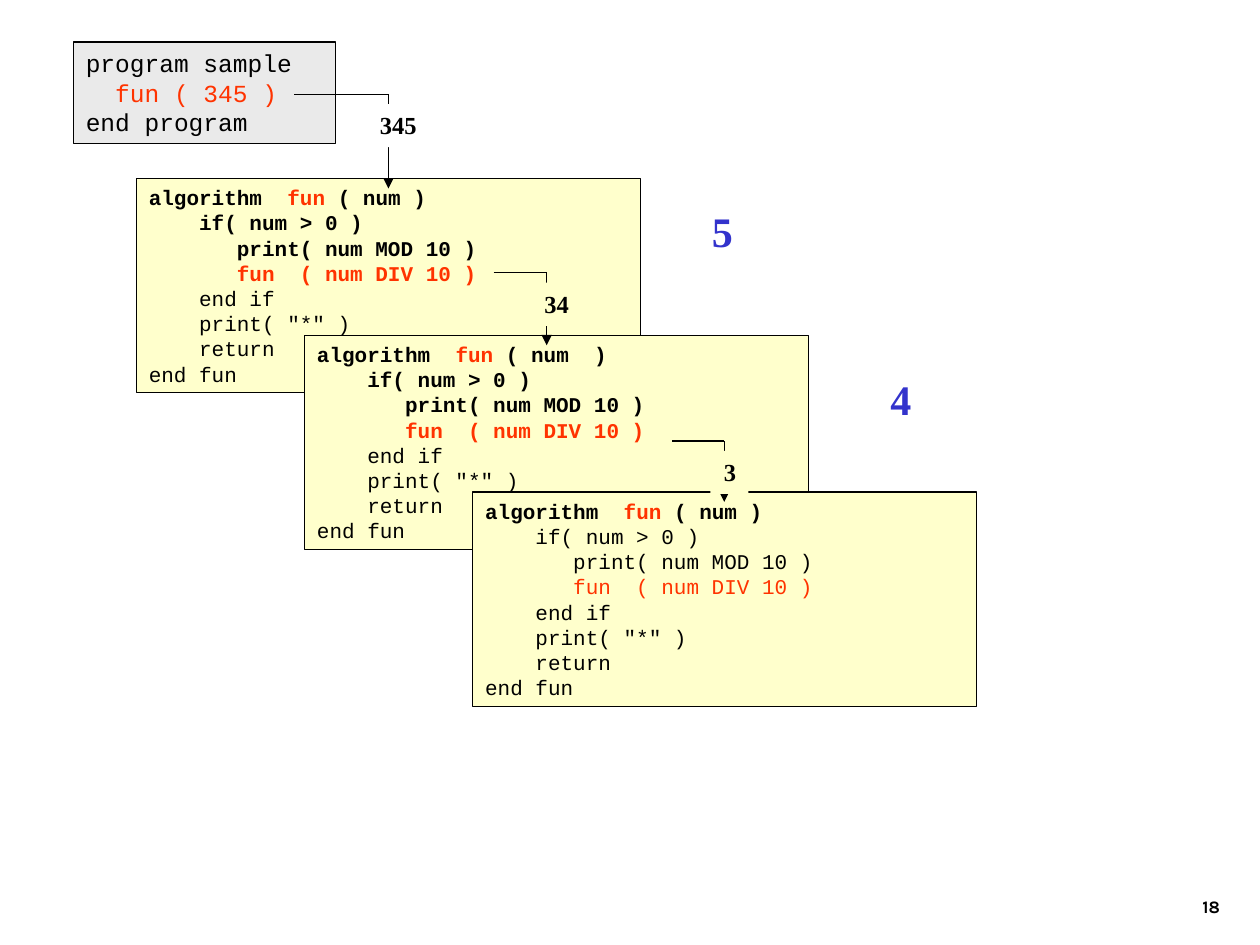
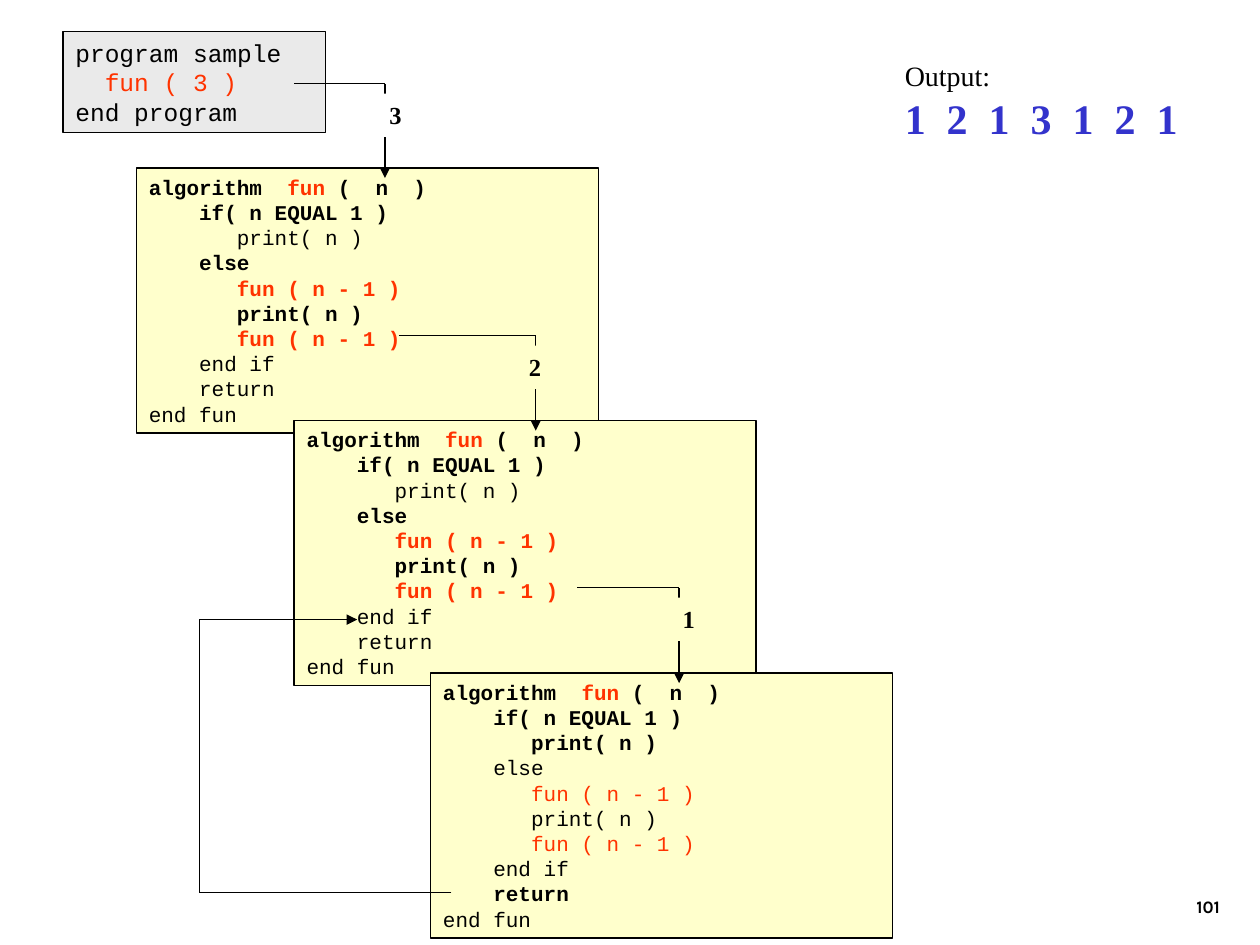
"""Build two slides that trace recursive calls through stacked code frames."""
import dataclasses
import itertools

import lxml.etree
import pptx
import pptx.dml.color
import pptx.enum.shapes
import pptx.enum.text
import pptx.oxml.ns
import pptx.util

Cm = pptx.util.Cm
Pt = pptx.util.Pt
Align = pptx.enum.text.PP_ALIGN
Anchor = pptx.enum.text.MSO_ANCHOR


def color(code):
    """Turn a hexadecimal code into a colour."""
    return pptx.dml.color.RGBColor.from_string(code)


@dataclasses.dataclass(frozen=True)
class Theme:
    """Colours, fonts and type sizes of the deck."""
    ink: object = color("000000")
    call: object = color("FF3300")
    result: object = color("3333CC")
    paper: object = color("FFFFFF")
    frame: object = color("FFFFCC")
    program: object = color("EAEAEA")
    code_font: str = "Courier New"
    text_font: str = "Times New Roman"
    number_font: str = "Karla"
    number_size: int = Pt(10)
    code_size: int = Pt(12)
    label_size: int = Pt(14)
    caption_size: int = Pt(16)
    result_size: int = Pt(24)
    line: int = Pt(0.75)


THEME = Theme()

DIGITS_BODY = [
    "    if( num > 0 )",
    "       print( num MOD 10 )",
    "       fun  ( num DIV 10 )",
    "    end if",
    "    print( \"*\" )",
    "    return",
    "end fun",
]
COUNT_CODE = [
    "algorithm  fun (  n  )",
    "    if( n EQUAL 1 )",
    "       print( n )",
    "    else",
    "       fun ( n - 1 )",
    "       print( n )",
    "       fun ( n - 1 )",
    "    end if",
    "    return",
    "end fun",
]


def style(para, font_name, size, ink=THEME.ink, bold=False, align=Align.LEFT):
    """Set the font and alignment of a whole paragraph."""
    para.alignment = align
    para.font.name = font_name
    para.font.size = size
    para.font.bold = bold
    para.font.color.rgb = ink


def add_text(page, left, top, width, height, anchor=Anchor.TOP):
    """Add a wrapping text box and return its text frame."""
    box = page.shapes.add_textbox(Cm(left), Cm(top), Cm(width), Cm(height))
    box.text_frame.word_wrap = True
    box.text_frame.vertical_anchor = anchor
    return box.text_frame


def add_panel(page, left, top, width, height, fill, outlined=True):
    """Add a filled rectangle and return its text frame."""
    panel = page.shapes.add_shape(pptx.enum.shapes.MSO_SHAPE.RECTANGLE,
                                  Cm(left), Cm(top), Cm(width), Cm(height))
    panel.shadow.inherit = False
    panel.fill.solid()
    panel.fill.fore_color.rgb = fill
    if outlined:
        panel.line.color.rgb = THEME.ink
        panel.line.width = THEME.line
    else:
        panel.line.fill.background()
    panel.text_frame.word_wrap = True
    panel.text_frame.vertical_anchor = Anchor.TOP
    return panel.text_frame


def split_call(line):
    """Split a code line into pieces, each marked as call or plain."""
    if line.lstrip().startswith("fun "):
        return [(line, True)]
    before, name, after = line.partition("fun ")
    pieces = [(before, False), (name, True), (after, False)]
    return [piece for piece in pieces if piece[0]]


def write_code(frame, lines, size, bold_rows=()):
    """Write code lines with calls highlighted and executed rows bold."""
    for row, line in enumerate(lines):
        para = frame.add_paragraph() if row else frame.paragraphs[0]
        style(para, THEME.code_font, size, bold=row in bold_rows)
        for text, is_call in split_call(line):
            span = para.add_run()
            span.text = text
            span.font.color.rgb = THEME.call if is_call else THEME.ink


def add_program(page, left, top, argument):
    """Add the grey box of the main program."""
    frame = add_panel(page, left, top, 5.29, 2.04, THEME.program)
    lines = ["program sample", f"  fun ( {argument} )", "end program"]
    write_code(frame, lines, THEME.label_size)


def add_route(page, points):
    """Join points with straight lines, the last one with an arrowhead."""
    qualified = pptx.oxml.ns.qn
    for start, end in itertools.pairwise(points):
        connector = page.shapes.add_connector(
            pptx.enum.shapes.MSO_CONNECTOR.STRAIGHT,
            *(Cm(value) for value in (*start, *end)))
        connector.line.color.rgb = THEME.ink
        connector.line.width = THEME.line
        properties = connector._element.spPr
        lxml.etree.SubElement(properties, qualified("a:effectLst"))
    outline = properties.find(qualified("a:ln"))
    lxml.etree.SubElement(outline, qualified("a:tailEnd"), type="triangle")


def add_call(page, start, turn, frame_top, value, label, fill=THEME.frame):
    """Draw a call arrow into a frame, with the passed value on it."""
    left, top = start
    label_left, label_width = label
    add_route(page, [start, (turn, top), (turn, frame_top + 0.2)])
    frame = add_panel(page, label_left, top + 0.2, label_width, 0.87, fill, outlined=False)
    frame.margin_left = 0
    para = frame.paragraphs[0]
    para.text = value
    style(para, THEME.text_font, THEME.label_size, bold=True, align=Align.RIGHT)


def add_result(page, left, top, value):
    """Add one large printed digit."""
    para = add_text(page, left, top, 1, 1.27).paragraphs[0]
    para.text = value
    style(para, THEME.text_font, THEME.result_size, THEME.result, bold=True)


def add_page(deck, number):
    """Add an empty page with its number."""
    page = deck.slides.add_slide(deck.slide_layouts[6])
    para = add_text(page, 19.56, 17.35, 5.28, 1.27, Anchor.BOTTOM).paragraphs[0]
    para.text = number
    style(para, THEME.number_font, THEME.number_size, bold=True, align=Align.RIGHT)
    return page


def build_digits_page(deck):
    """Trace the calls that print the digits of 345."""
    page = add_page(deck, "18")
    tops = [3.6 + 3.16 * level for level in range(3)]
    headers = ["( num )", "( num  )", "( num )"]
    executed = [range(4), range(4), range(1)]
    for level, top in enumerate(tops):
        frame = add_panel(page, 2.75 + 3.39 * level, top, 10.16, 4.32, THEME.frame)
        code = [f"algorithm  fun {headers[level]}", *DIGITS_BODY]
        write_code(frame, code, THEME.code_size, executed[level])
    add_program(page, 1.48, 0.85, "345")
    add_call(page, (5.93, 1.9), 7.83, tops[0], "345", (7.4, 1.25), THEME.paper)
    add_call(page, (9.95, 5.5), 11.02, tops[1], "34", (10.74, 0.98))
    add_call(page, (13.55, 8.89), 14.6, tops[2], "3", (14.32, 0.77))
    add_result(page, 14.1, 4.02, "5")
    add_result(page, 17.7, 7.41, "4")


def build_count_page(deck):
    """Trace the calls of the doubly recursive count from 3."""
    page = add_page(deck, "101")
    lefts = [2.75, 5.93, 8.68]
    tops = [3.39 + 5.09 * level for level in range(3)]
    executed = [(0, 1, 3, 4, 5, 6), (0, 1, 3, 4, 5, 6), (0, 1, 2, 8)]
    for left, top, rows in zip(lefts, tops, executed):
        frame = add_panel(page, left, top, 9.31, 5.34, THEME.frame)
        write_code(frame, COUNT_CODE, THEME.code_size, rows)
    add_program(page, 1.27, 0.64, "3")
    output = add_text(page, 17.99, 1.06, 6.14, 1.96)
    output.text = "Output:\n1  2  1  3  1  2  1"
    caption, digits = output.paragraphs
    style(caption, THEME.text_font, THEME.caption_size)
    style(digits, THEME.text_font, THEME.result_size, THEME.result, bold=True)
    add_route(page, [(9.1, 17.99), (4.02, 17.99), (4.02, 12.49), (7.2, 12.49)])
    add_call(page, (5.93, 1.69), 7.76, tops[0], "3", (7.37, 0.98), THEME.paper)
    add_call(page, (8.04, 6.77), 10.8, tops[1], "2", (10.04, 1.12))
    add_call(page, (11.64, 11.85), 13.69, tops[2], "1", (13.14, 1.12))


def main():
    """Build and save the deck."""
    deck = pptx.Presentation()
    deck.slide_width, deck.slide_height = Cm(25.4), Cm(19.05)
    build_digits_page(deck)
    build_count_page(deck)
    deck.save("out.pptx")


if __name__ == "__main__":
    main()
